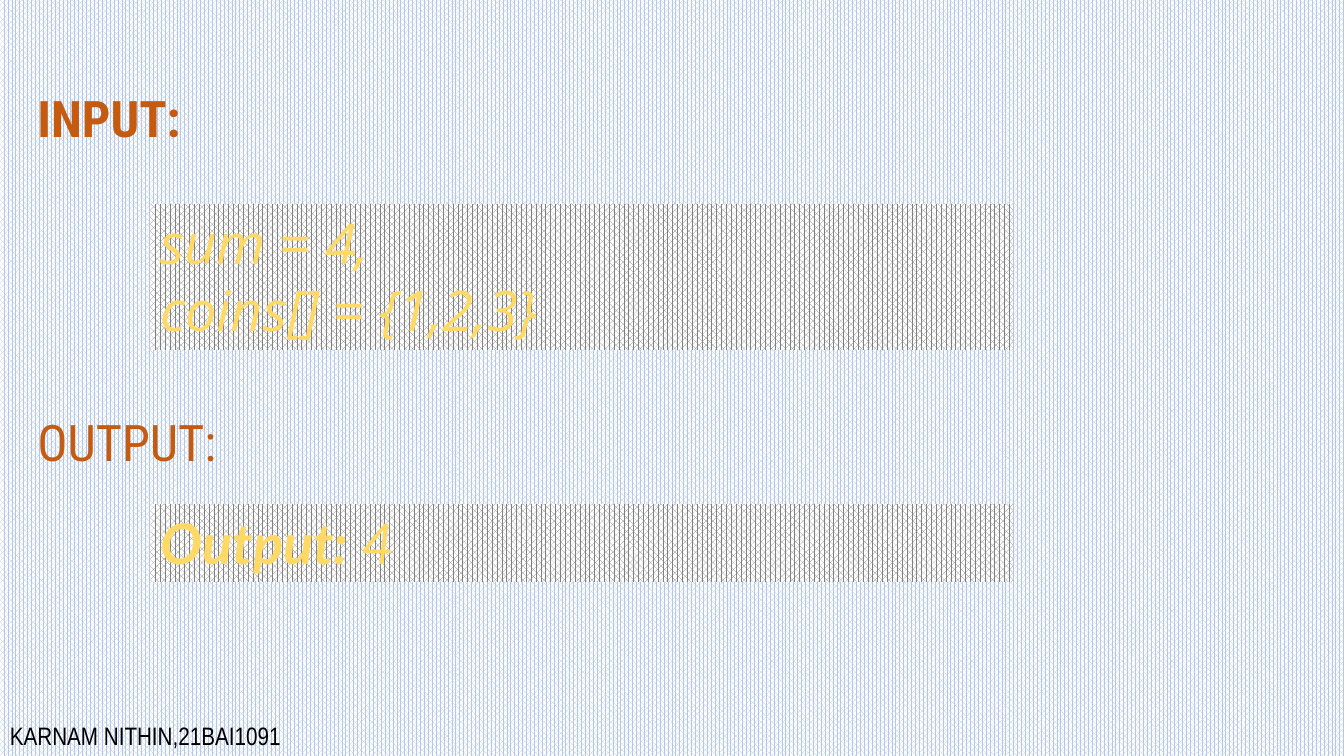
from dataclasses import dataclass

from pptx import Presentation
from pptx.dml.color import RGBColor as Rgb
from pptx.enum.dml import MSO_PATTERN as Pat
from pptx.enum.shapes import MSO_SHAPE as Kind
from pptx.enum.text import MSO_ANCHOR as Anchor, MSO_AUTO_SIZE as Fit, PP_ALIGN as Align
from pptx.util import Cm, Pt


@dataclass(frozen=True)
class Theme:
    sky: str = "B4C7E7"
    white: str = "FFFFFF"
    gray: str = "808080"
    rust: str = "C55A11"
    gold: str = "FFD966"
    black: str = "000000"
    head: int = 36
    code: int = 40
    foot: int = 18


THEME = Theme()


def hatch(fill, kind, color):
    fill.patterned()
    fill.pattern = kind
    fill.fore_color.rgb = Rgb.from_string(color)
    fill.back_color.rgb = Rgb.from_string(THEME.white)


def place(shape, left, top, width, height):
    shape.left, shape.top = Cm(left), Cm(top)
    shape.width, shape.height = Cm(width), Cm(height)


def write(shape, lines, face, size, color, bold=False, slant=False):
    frame = shape.text_frame
    frame.word_wrap = True
    frame.auto_size = Fit.SHAPE_TO_FIT_TEXT
    frame.vertical_anchor = Anchor.TOP
    frame.text = "\n".join(lines)
    for para in frame.paragraphs:
        para.alignment = Align.LEFT
        font = para.font
        font.name, font.size = face, Pt(size)
        font.bold, font.italic = bold, slant
        font.color.rgb = Rgb.from_string(color)


def add_label(slide, box, text, face, size, color):
    shape = slide.shapes.add_textbox(*map(Cm, box))
    write(shape, [text], face, size, color)


def add_panel(slide, top, height, lines, face):
    shape = slide.shapes.add_shape(Kind.RECTANGLE, Cm(3.79), Cm(top), Cm(21.74), Cm(height))
    shape.shadow.inherit = False
    shape.line.fill.background()
    hatch(shape.fill, Pat.PERCENT_70, THEME.gray)
    write(shape, lines, face, THEME.code, THEME.gold, slant=True)
    return shape


def main():
    deck = Presentation()
    deck.slide_width, deck.slide_height = Cm(33.87), Cm(19.05)
    slide = deck.slides.add_slide(deck.slide_layouts[5])
    hatch(slide.background.fill, Pat.PERCENT_75, THEME.sky)

    title = slide.shapes.title
    place(title, 0.69, 2.08, 7.49, 1.8)
    write(title, ["INPUT:"], "Roboto Condensed", THEME.head, THEME.rust, bold=True)

    add_panel(slide, 5.13, 3.68, ["sum = 4,", "coins[] = {1,2,3}"], "Open Sans")
    add_label(slide, (0.69, 10.24, 7.16, 1.8), "OUTPUT:", "Roboto Condensed", THEME.head, THEME.rust)

    result = add_panel(slide, 12.7, 1.96, ["Output:"], "Lato")
    para = result.text_frame.paragraphs[0]
    para.runs[0].font.bold = True
    para.add_run().text = " 4"

    add_label(slide, (0, 18.03, 8.74, 1.8), "KARNAM NITHIN,21BAI1091", "Arial Narrow", THEME.foot, THEME.black)
    deck.save("out.pptx")


if __name__ == "__main__":
    main()
